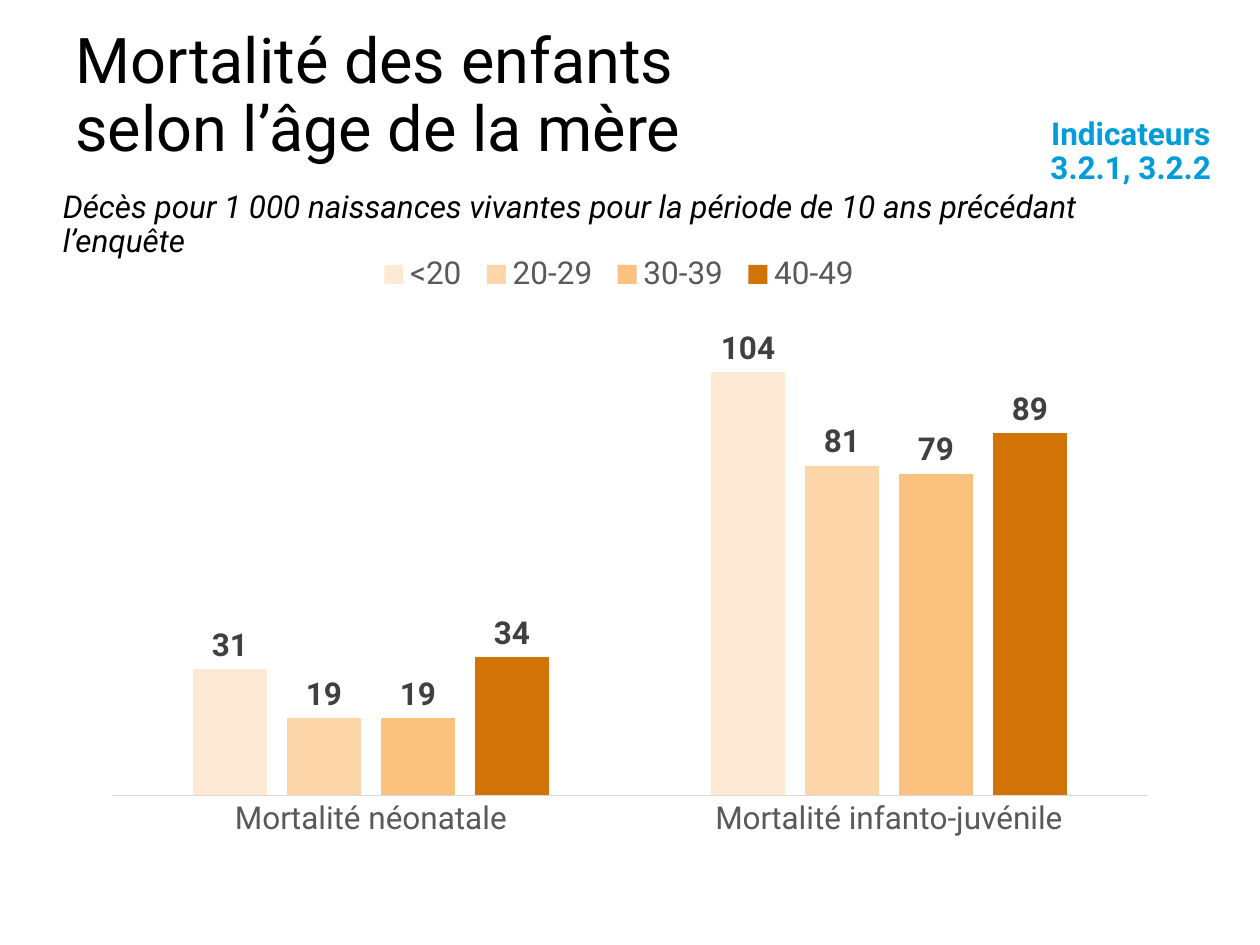
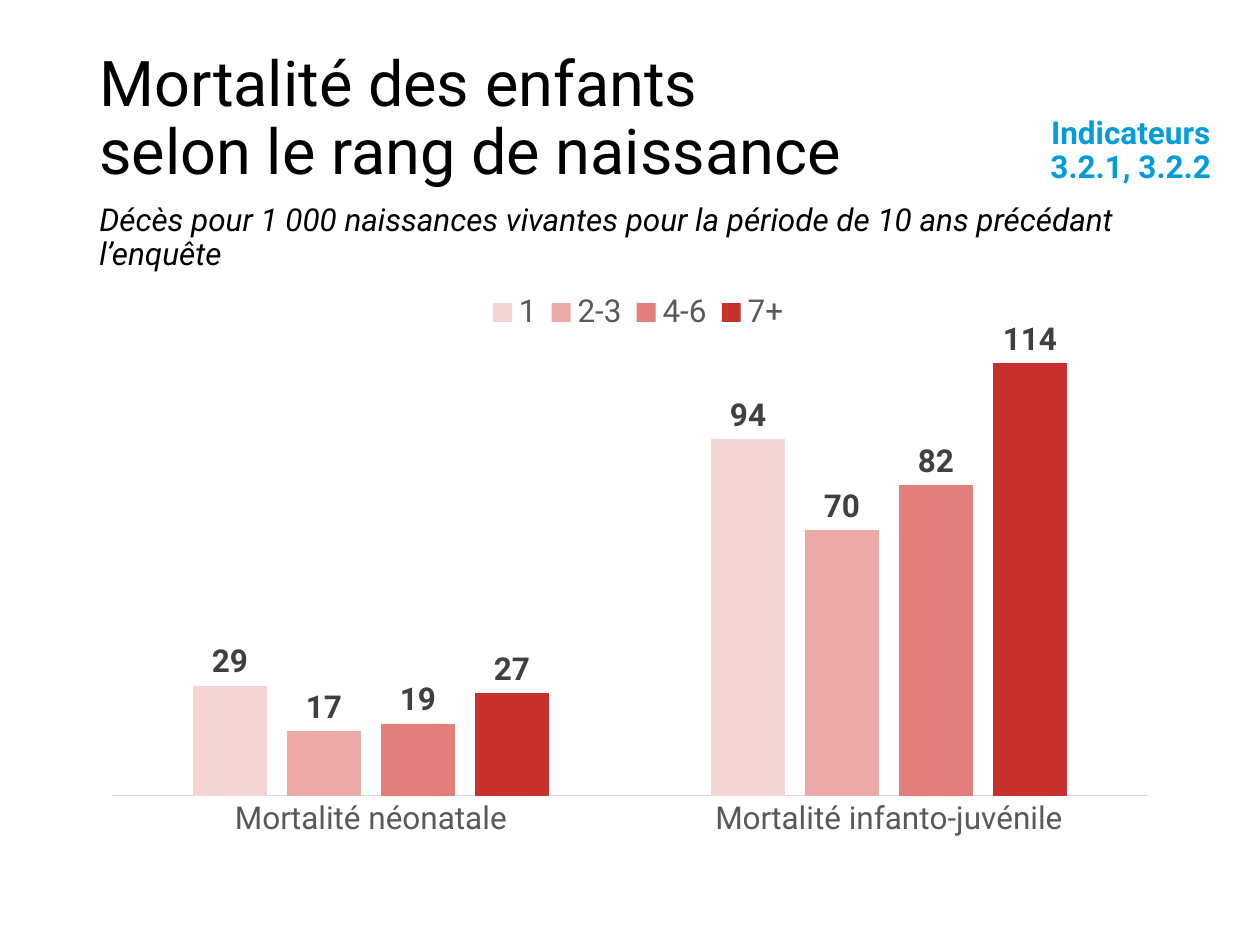
from lxml.etree import SubElement
from pptx import Presentation
from pptx.chart.data import CategoryChartData
from pptx.dml.color import RGBColor
from pptx.enum.chart import XL_CHART_TYPE, XL_LABEL_POSITION, XL_LEGEND_POSITION, XL_TICK_MARK
from pptx.enum.text import MSO_ANCHOR, PP_ALIGN
from pptx.oxml.ns import qn
from pptx.util import Inches, Pt

FONT = "Roboto"
BLACK, BLUE, GREY, DARK, LINE = "000000", "009DDA", "595959", "404040", "D9D9D9"
BADGE = "Indicateurs 3.2.1, 3.2.2"
SUBTITLE = "Décès pour 1 000 naissances vivantes pour la période de 10 ans précédant l’enquête"
CATEGORIES = ["Mortalité néonatale", "Mortalité infanto-juvénile"]

SLIDES = [
    {
        "title": ("Mortalité des enfants\vselon l’âge de la mère", (0.5, 0.26, 8.62, 1.02)),
        "badge": (8.11, 0.89, 1.73, 0.46),
        "subtitle": (0.4, 1.47, 9.22, 0.38),
        "chart": (0.69, 1.9, 8.62, 5.05),
        "plot": (0.023, 0.106, 0.954, 0.768),
        "legend": (0.26, 0.02, 0.46, 0.07),
        "series": [("<20", (31, 104), "FEEAD4"), ("20-29", (19, 81), "FCD5A9"),
                   ("30-39", (19, 79), "FBC17F"), ("40-49", (34, 89), "D27307")],
    },
    {
        "title": ("Mortalité des enfants\vselon le rang de naissance", (0.69, 0.44, 7.42, 1.02)),
        "badge": (8.11, 0.88, 1.73, 0.46),
        "subtitle": (0.69, 1.57, 8.87, 0.38),
        "chart": (0.69, 2.19, 8.62, 4.72),
        "plot": (0.023, 0.109, 0.954, 0.765),
        "legend": (0.36, 0.024, 0.295, 0.075),
        "series": [("1", (29, 94), "F5D4D4"), ("2-3", (17, 70), "EBAAA8"),
                   ("4-6", (19, 82), "E27F7D"), ("7+", (27, 114), "C7302D")],
    },
]


def rgb(value):
    """Turn a hex string into a colour."""
    return RGBColor.from_string(value)


def assign(target, values):
    """Set attributes of an object from a dict."""
    for name, value in values.items():
        setattr(target, name, value)


def set_layout(parent, index, box, inner=False):
    """Place a chart part by fractions of the chart area."""
    for old in parent.findall(qn("c:layout")):
        parent.remove(old)
    layout = SubElement(parent, qn("c:layout"))
    parent.insert(index, layout)
    manual = SubElement(layout, qn("c:manualLayout"))
    entries = [("layoutTarget", "inner")] if inner else []
    entries += [("xMode", "edge"), ("yMode", "edge"), *zip("xywh", box)]
    for tag, value in entries:
        SubElement(manual, qn(f"c:{tag}")).set("val", str(value))


class Deck:
    """Holds the shared style and the current slide."""

    def __init__(self):
        """Start an empty 10 by 7.5 inch presentation."""
        self.prs = Presentation()
        assign(self.prs, {"slide_width": Inches(10), "slide_height": Inches(7.5)})
        self.s = None

    def slide(self):
        """Add a blank slide and make it current."""
        self.s = self.prs.slides.add_slide(self.prs.slide_layouts[6])

    def font(self, font, size=18, color=GREY, **extra):
        """Apply the house font with a size and colour."""
        assign(font, {"name": FONT, "size": Pt(size), **extra})
        font.color.rgb = rgb(color)

    def text(self, text, box, align=PP_ALIGN.LEFT, anchor=MSO_ANCHOR.TOP, **style):
        """Add a wrapped one-paragraph text box."""
        tf = self.s.shapes.add_textbox(*map(Inches, box)).text_frame
        assign(tf, {"word_wrap": True, "vertical_anchor": anchor})
        p = tf.paragraphs[0]
        p.text = text
        assign(p, {"alignment": align, "line_spacing": 0.9})
        for r in p.runs:
            self.font(r.font, **style)

    def title(self, text, box):
        """Add the slide title."""
        self.text(text, box, anchor=MSO_ANCHOR.MIDDLE, size=36, color=BLACK)

    def badge(self, box):
        """Add the indicator reference."""
        self.text(BADGE, box, align=PP_ALIGN.CENTER, color=BLUE, bold=True)

    def subtitle(self, box):
        """Add the unit line under the title."""
        self.text(SUBTITLE, box, color=BLACK, italic=True)

    def chart(self, box, series, plot_box, legend_box):
        """Add a clustered column chart with labels and a legend."""
        data = CategoryChartData()
        data.categories = CATEGORIES
        for name, values, _ in series:
            data.add_series(name, values)
        chart = self.s.shapes.add_chart(
            XL_CHART_TYPE.COLUMN_CLUSTERED, *map(Inches, box), data).chart
        assign(chart, {"has_title": False, "has_legend": True})
        self.font(chart.font, size=10, color=BLACK)
        assign(chart.legend, {"position": XL_LEGEND_POSITION.BOTTOM, "include_in_layout": False})
        self.font(chart.legend.font)
        assign(chart.value_axis, {"visible": False, "has_major_gridlines": False,
                                  "minimum_scale": 0, "maximum_scale": 120})
        axis = chart.category_axis
        axis.major_tick_mark = XL_TICK_MARK.NONE
        self.font(axis.tick_labels.font)
        axis.format.line.color.rgb = rgb(LINE)
        axis.format.line.width = Pt(0.75)
        plot = chart.plots[0]
        assign(plot, {"gap_width": 219, "overlap": -27, "vary_by_categories": False})
        for column, (_, _, color) in zip(plot.series, series):
            column.format.fill.solid()
            column.format.fill.fore_color.rgb = rgb(color)
            labels = column.data_labels
            assign(labels, {"show_value": True, "position": XL_LABEL_POSITION.OUTSIDE_END})
            self.font(labels.font, color=DARK, bold=True)
        root = chart.element
        set_layout(root.find(f".//{qn('c:plotArea')}"), 0, plot_box, inner=True)
        set_layout(root.find(f".//{qn('c:legend')}"), 1, legend_box)


def main():
    """Build and save both mortality slides."""
    deck = Deck()
    for content in SLIDES:
        deck.slide()
        deck.title(*content["title"])
        deck.chart(content["chart"], content["series"], content["plot"], content["legend"])
        deck.badge(content["badge"])
        deck.subtitle(content["subtitle"])
    deck.prs.save("out.pptx")


if __name__ == "__main__":
    main()
